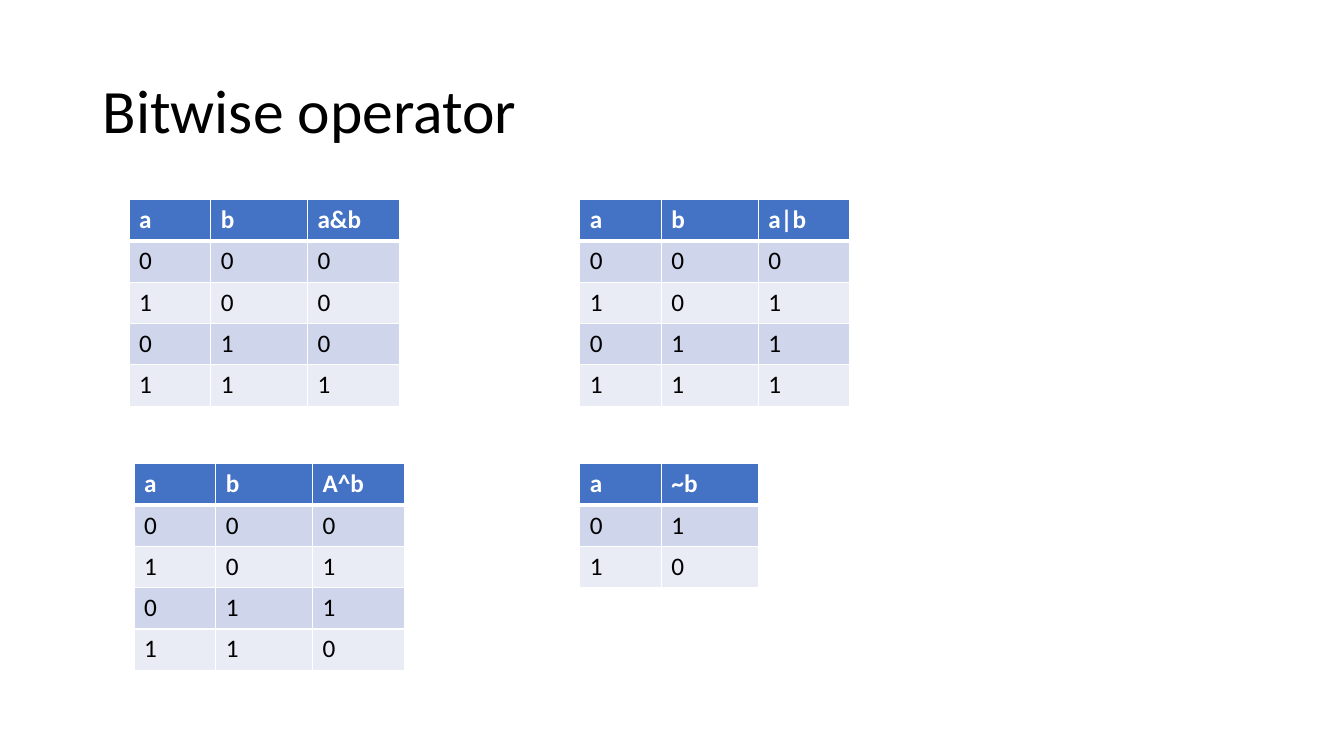
"""Build the slide of bitwise operator truth tables."""
import dataclasses

import lxml.etree
import pptx
import pptx.dml.color
import pptx.enum.text
import pptx.oxml.ns
import pptx.slide
import pptx.table
import pptx.util

Inches = pptx.util.Inches
FONT = "Calibri"
WHITE = "FFFFFF"
BLACK = "000000"
HEADER_FILL = "4472C4"
BAND_FILLS = ("CFD5EA", "E9EBF5")
COLUMN_WIDTHS = (0.81, 0.96, 0.91)
ROW_HEIGHT = 0.41


@dataclasses.dataclass(frozen=True)
class TruthTable:
    left: float
    top: float
    header: tuple[str, ...]
    rows: tuple[str, ...]


TRUTH_TABLES = (
    TruthTable(1.28, 1.98, ("a", "b", "a&b"), ("000", "100", "010", "111")),
    TruthTable(5.75, 1.98, ("a", "b", "a|b"), ("000", "101", "011", "111")),
    TruthTable(1.33, 4.6, ("a", "b", "A^b"), ("000", "101", "011", "110")),
    TruthTable(5.75, 4.6, ("a", "~b"), ("01", "10")),
)


def color(value: str) -> pptx.dml.color.RGBColor:
    return pptx.dml.color.RGBColor.from_string(value)


def add_borders(cell: pptx.table._Cell, top: int, bottom: int) -> None:
    properties = cell._tc.get_or_add_tcPr()
    qn = pptx.oxml.ns.qn
    for side, points in (("L", 1), ("R", 1), ("T", top), ("B", bottom)):
        line = lxml.etree.SubElement(properties, qn(f"a:ln{side}"), w=str(pptx.util.Pt(points)))
        fill = lxml.etree.SubElement(line, qn("a:solidFill"))
        lxml.etree.SubElement(fill, qn("a:srgbClr"), val=WHITE)


def style_font(font: pptx.text.text.Font, size: int, value: str, bold: bool = False) -> None:
    font.name = FONT
    font.size = pptx.util.Pt(size)
    font.bold = bold
    font.color.rgb = color(value)


def add_title(slide: pptx.slide.Slide, text: str) -> None:
    box = slide.shapes.add_textbox(Inches(0.92), Inches(0.4), Inches(11.5), Inches(1.45))
    frame = box.text_frame
    frame.word_wrap = True
    frame.vertical_anchor = pptx.enum.text.MSO_ANCHOR.MIDDLE
    paragraph = frame.paragraphs[0]
    paragraph.text = text
    paragraph.line_spacing = 0.9
    style_font(paragraph.font, 44, BLACK)


def add_truth_table(slide: pptx.slide.Slide, truth_table: TruthTable) -> None:
    lines = (truth_table.header, *truth_table.rows)
    widths = COLUMN_WIDTHS[:len(truth_table.header)]
    table = slide.shapes.add_table(
        len(lines), len(widths), Inches(truth_table.left), Inches(truth_table.top),
        Inches(sum(widths)), Inches(ROW_HEIGHT * len(lines)),
    ).table
    for column, width in zip(table.columns, widths):
        column.width = Inches(width)
    for row_index, values in enumerate(lines):
        is_header = row_index == 0
        table.rows[row_index].height = Inches(ROW_HEIGHT)
        for column_index, value in enumerate(values):
            cell = table.cell(row_index, column_index)
            add_borders(cell, 3 if row_index == 1 else 1, 3 if is_header else 1)
            cell.fill.solid()
            cell.fill.fore_color.rgb = color(
                HEADER_FILL if is_header else BAND_FILLS[(row_index - 1) % 2])
            paragraph = cell.text_frame.paragraphs[0]
            paragraph.text = value
            style_font(paragraph.font, 18, WHITE if is_header else BLACK, is_header)


def main() -> None:
    presentation = pptx.Presentation()
    presentation.slide_width = Inches(13.33)
    presentation.slide_height = Inches(7.5)
    slide = presentation.slides.add_slide(presentation.slide_layouts[6])
    add_title(slide, "Bitwise operator")
    for truth_table in TRUTH_TABLES:
        add_truth_table(slide, truth_table)
    presentation.save("out.pptx")


if __name__ == "__main__":
    main()
